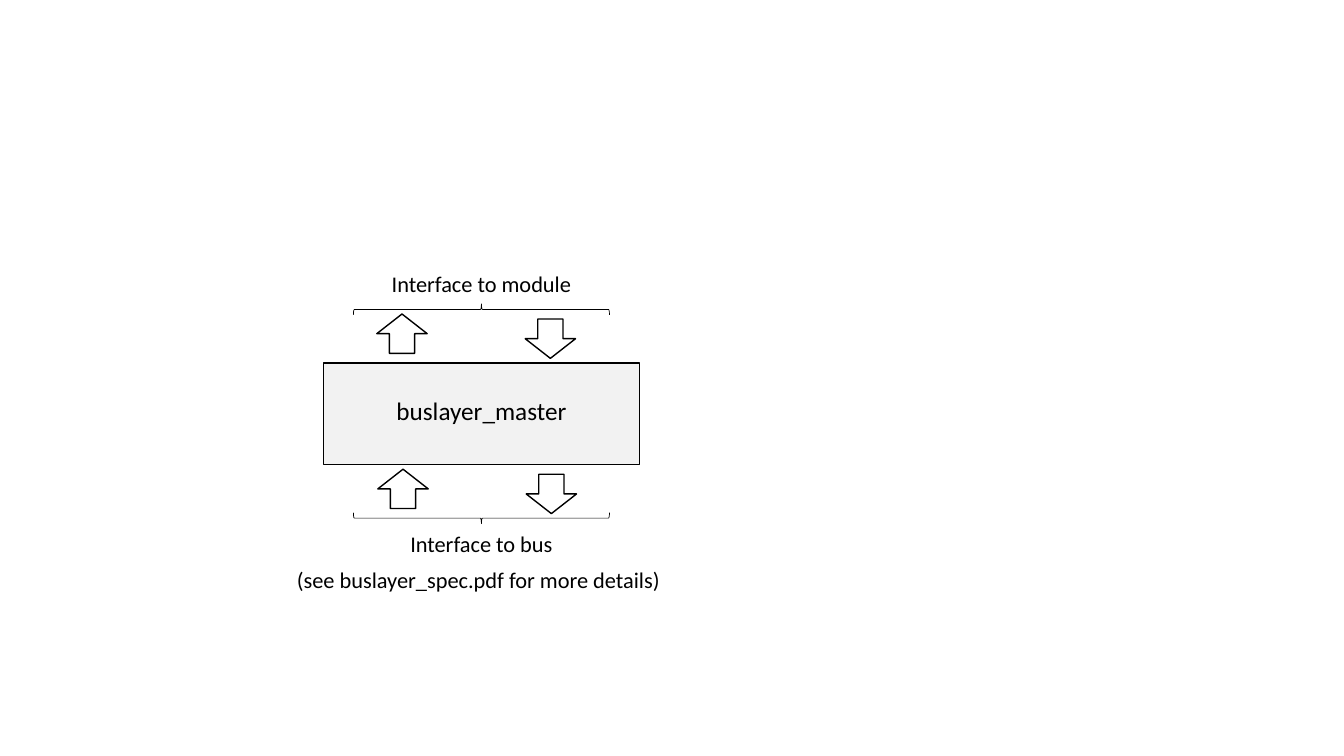
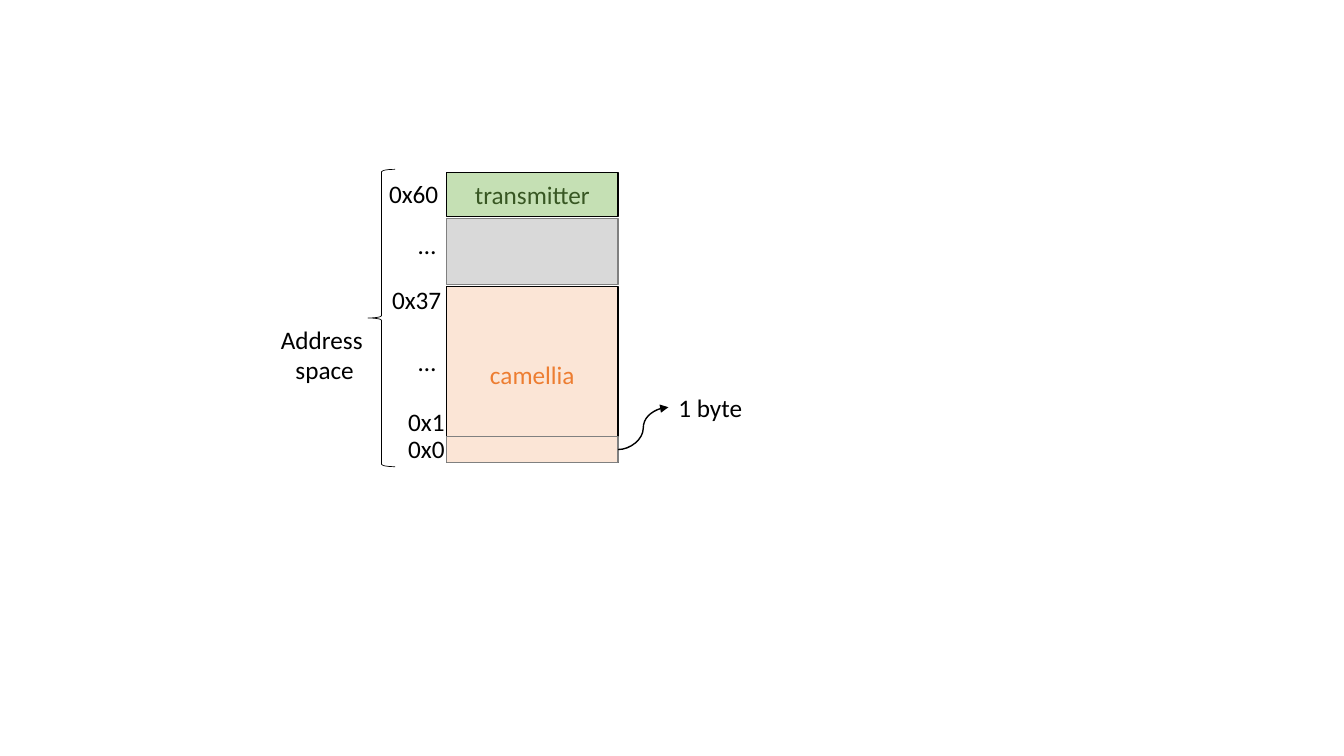
from dataclasses import dataclass

from lxml import etree
from pptx import Presentation, util as u
from pptx.dml.color import RGBColor
from pptx.enum import shapes, text
from pptx.oxml.ns import qn

SLIDE_WIDTH, SLIDE_HEIGHT = u.Inches(13.33), u.Inches(7.5)
UNIT = SLIDE_HEIGHT / 75  # one grid row or column
FONT = "Calibri"
COLORS = {
    "ink": "000000", "white": "FFFFFF", "block": "F2F2F2",
    "green": "C5E0B4", "green_text": "385723",
    "orange": "FBE5D6", "orange_text": "ED7D31",
    "unused": "D9D9D9", "grey_line": "808080",
}
KIND = shapes.MSO_SHAPE


@dataclass
class Box:
    """A rectangle measured in grid columns and rows."""
    left: float
    top: float
    width: float
    height: float

    @property
    def right(self):
        """Column of the right edge."""
        return self.left + self.width

    @property
    def bottom(self):
        """Row of the bottom edge."""
        return self.top + self.height

    def lengths(self):
        """Return the four measures as slide lengths."""
        return [grid(n) for n in (self.left, self.top, self.width, self.height)]


def grid(count):
    """Turn a count of grid units into a slide length."""
    return u.Emu(round(count * UNIT))


def centred(x, y, width, height):
    """Return a box around a centre point."""
    return Box(x - width / 2, y - height / 2, width, height)


def color(name):
    """Look up a palette colour."""
    return RGBColor.from_string(COLORS[name])


def write(frame, words, size=18, ink="ink", align=text.PP_ALIGN.CENTER):
    """Put one styled paragraph in a text frame."""
    paragraph = frame.paragraphs[0]
    paragraph.text = words
    paragraph.alignment = align
    paragraph.font.size = u.Pt(size)
    paragraph.font.name = FONT
    paragraph.font.color.rgb = color(ink)


def add_label(slide, box, words, size=18, align=text.PP_ALIGN.CENTER):
    """Add an unwrapped text box that fits its text."""
    frame = slide.shapes.add_textbox(*box.lengths()).text_frame
    frame.word_wrap = False
    frame.auto_size = text.MSO_AUTO_SIZE.SHAPE_TO_FIT_TEXT
    write(frame, words, size, align=align)


def add_figure(slide, kind, box, fill=None, line="ink", weight=1, turn=0):
    """Add a flat preset shape, turned about its centre."""
    shape = slide.shapes.add_shape(kind, *box.lengths())
    shape.shadow.inherit = False
    shape.rotation = turn
    if fill:
        shape.fill.solid()
        shape.fill.fore_color.rgb = color(fill)
    else:
        shape.fill.background()
    shape.line.color.rgb = color(line)
    shape.line.width = u.Pt(weight)
    return shape


def add_curved_arrow(slide, start, end):
    """Add a curved connector with an arrowhead at its end."""
    points = [grid(n) for n in (*start, *end)]
    arrow = slide.shapes.add_connector(shapes.MSO_CONNECTOR.CURVE, *points)
    arrow.line.color.rgb = color("ink")
    arrow.line.width = u.Pt(1)
    etree.SubElement(arrow.line._get_or_add_ln(), qn("a:tailEnd"), type="triangle")
    etree.SubElement(arrow._element.spPr, qn("a:effectLst"))


def add_interface(slide, block, edge, side, words):
    """Add arrows, brace and caption outside one edge; side is -1 above, 1 below."""
    middle = block.left + block.width / 2
    shift = 0.05 * side
    for share, turn, nudge in ((0.25, 270, -0.25), (0.72, 90, 0.25)):
        center = (block.left + share * block.width + shift, edge + 2.65 * side + nudge)
        add_figure(slide, KIND.RIGHT_ARROW, centred(*center, 3.9, 5), "white", turn=turn)
    add_figure(slide, KIND.LEFT_BRACE, centred(middle, edge + 5.3 * side, 1.1, 25.4),
               weight=0.5, turn=-90 * side % 360)
    add_label(slide, centred(middle, edge + 7.85 * side, 20, 3.7), words, 16)


def add_bus_master(slide, block):
    """Draw the bus block with its two interfaces and the note below."""
    middle_x, middle_y = block.left + block.width / 2, block.top + block.height / 2
    add_figure(slide, KIND.RECTANGLE,
               centred(middle_x, middle_y, block.height, block.width), "block", turn=90)
    add_label(slide, centred(middle_x, middle_y - 0.3, 18.9, 4), "buslayer_master")
    add_interface(slide, block, block.top, -1, "Interface to module")
    add_interface(slide, block, block.bottom, 1, "Interface to bus")
    add_label(slide, centred(middle_x - 0.3, block.bottom + 11.45, 38.5, 3.7),
              "(see buslayer_spec.pdf for more details)", 16)


def add_address_map(slide, stack):
    """Draw the stacked address ranges, their addresses and the notes beside them."""
    ranges = [  # first row, rows, fill, line, name, text colour
        (0, 4.4, "green", "ink", "transmitter", "green_text"),
        (4.6, 6.5, "unused", "grey_line", "", "ink"),
        (11.3, 17.5, "orange", "ink", "camellia", "orange_text"),
        (26.2, 2.6, None, "grey_line", "", "ink"),
    ]
    for row, rows, fill, line, name, ink in ranges:
        box = Box(stack.left, stack.top + row, stack.width, rows)
        shape = add_figure(slide, KIND.RECTANGLE, box, fill, line)
        if name:
            shape.text_frame.vertical_anchor = text.MSO_ANCHOR.MIDDLE
            write(shape.text_frame, name, ink=ink)

    addresses = [  # words, columns left of the stack, row, columns wide
        ("0x60", 6.7, 0.1, 6.9), ("…", 3.8, 5.2, 3.8), ("0x37", 6.4, 10.6, 6.9),
        ("…", 3.8, 16.8, 3.8), ("0x1", 4.8, 22.7, 5.7), ("0x0", 4.8, 25.4, 5.7),
    ]
    for words, inset, row, columns in addresses:
        add_label(slide, Box(stack.left - inset, stack.top + row, columns, 4),
                  words, align=text.PP_ALIGN.LEFT)

    add_figure(slide, KIND.LEFT_BRACE,
               Box(stack.left - 7.8, stack.top - 0.3, 2.7, stack.height + 0.7), weight=0.5)
    add_label(slide, Box(stack.left - 17.5, stack.top + 14.6, 10.8, 7.1), "Address \vspace")

    byte_row = stack.bottom - 1.3
    tip = (stack.right + 5, byte_row - 4.2)
    add_curved_arrow(slide, (stack.right, byte_row), tip)
    add_label(slide, Box(tip[0], tip[1] - 2, 8.4, 4), "1 byte", align=text.PP_ALIGN.LEFT)


def build():
    """Build both slides and save the presentation."""
    presentation = Presentation()
    presentation.slide_width, presentation.slide_height = SLIDE_WIDTH, SLIDE_HEIGHT
    blank = presentation.slide_layouts[6]
    add_bus_master(presentation.slides.add_slide(blank), Box(32.1, 36, 31.3, 10.1))
    add_address_map(presentation.slides.add_slide(blank), Box(44.3, 17.1, 17, 28.8))
    presentation.save("out.pptx")


build()
